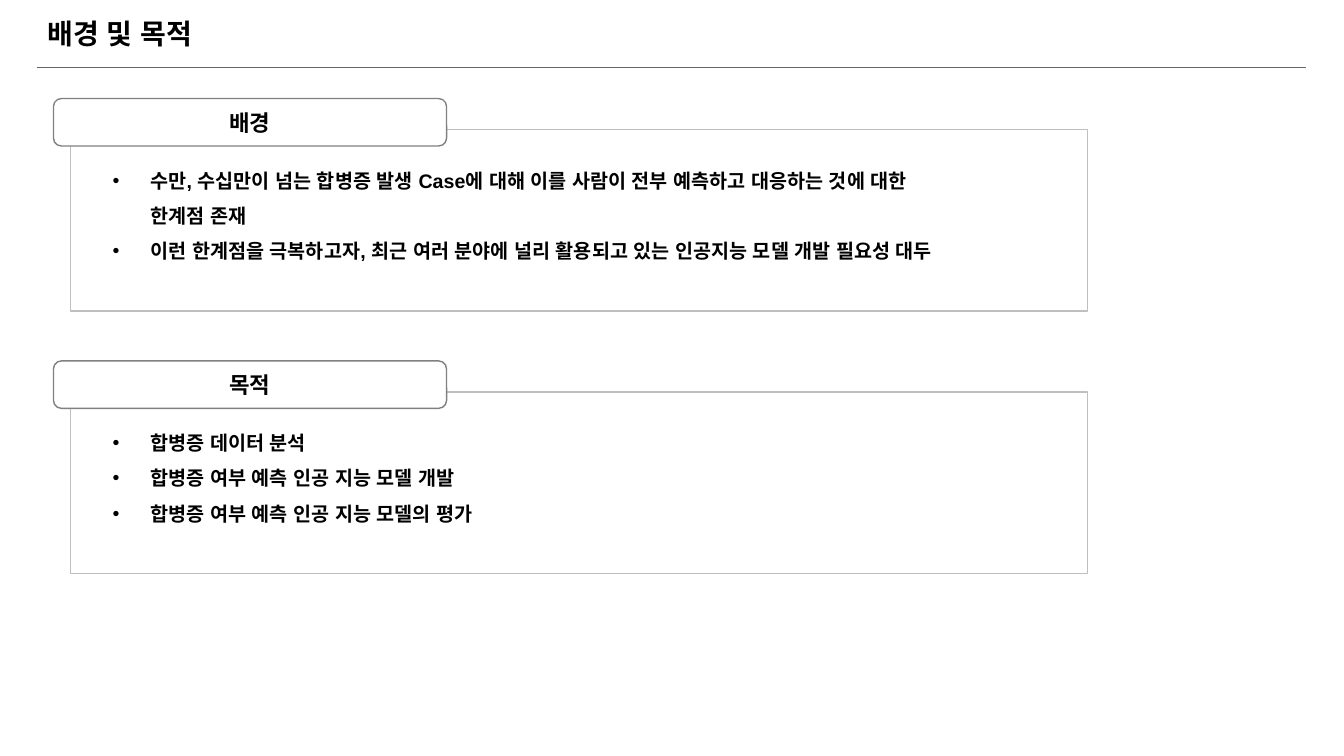
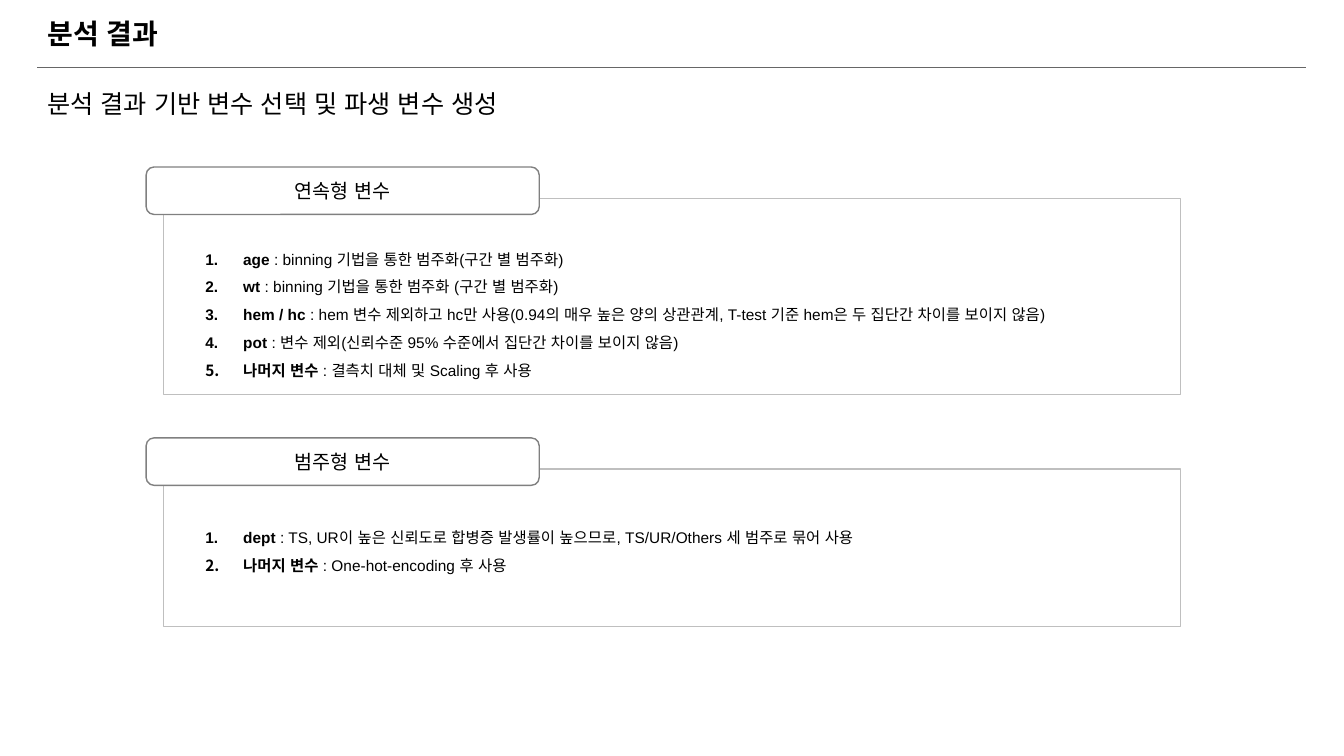
"""Build two slides of titled, framed lists on a clinical prediction model."""
from lxml import etree
from pptx import Presentation
from pptx.dml.color import RGBColor
from pptx.enum.lang import MSO_LANGUAGE_ID
from pptx.enum.shapes import MSO_CONNECTOR, MSO_SHAPE
from pptx.enum.text import MSO_ANCHOR, MSO_AUTO_SIZE, PP_ALIGN
from pptx.oxml.ns import qn
from pptx.util import Pt

RECT = MSO_SHAPE.RECTANGLE
ROUNDED = MSO_SHAPE.ROUNDED_RECTANGLE
STRAIGHT = MSO_CONNECTOR.STRAIGHT
TOP, MIDDLE = MSO_ANCHOR.TOP, MSO_ANCHOR.MIDDLE
LEFT, CENTER = PP_ALIGN.LEFT, PP_ALIGN.CENTER
GROW = MSO_AUTO_SIZE.SHAPE_TO_FIT_TEXT
KOREAN = MSO_LANGUAGE_ID.KOREAN

BLACK = RGBColor(0x00, 0x00, 0x00)
WHITE = RGBColor(0xFF, 0xFF, 0xFF)
RULE_GRAY = RGBColor(0x66, 0x66, 0x66)
TAB_GRAY = RGBColor(0x80, 0x80, 0x80)
FRAME_GRAY = RGBColor(0xBF, 0xBF, 0xBF)

HEAD_FONT, BODY_FONT = "Calibri", "Arial"
MARGIN, CONTENT_W, RULE_Y = 26.64, 906.5, 48.25
TAB_W, TAB_H = 280.8, 33.9
FRAME_DX, FRAME_DY, FRAME_W = 12.24, 22.3, 726.5
LIST_DX, LIST_INDENT = 23, 27

BACKGROUND = [
    [("수만, 수십만이 넘는 합병증 발생 Case에 대해 이를 사람이 전부 예측하고 "
      "대응하는 것에 대한 한계점 존재", True)],
    [("이런 한계점을 극복하고자, 최근 여러 분야에 널리 활용되고 있는 인공지능 "
      "모델 개발 필요성 대두", True)],
]
PURPOSE = [
    [("합병증 데이터 분석", True)],
    [("합병증 여부 예측 인공 지능 모델 개발", True)],
    [("합병증 여부 예측 인공 지능 모델의 평가", True)],
]
CONTINUOUS = [
    [("age", True), (" : binning 기법을 통한 범주화(구간 별 범주화)", False)],
    [("wt", True), (" : binning 기법을 통한 범주화 (구간 별 범주화)", False)],
    [("hem / hc", True),
     (" : hem 변수 제외하고 hc만 사용(0.94의 매우 높은 양의 상관관계, "
      "T-test 기준 hem은 두 집단간 차이를 보이지 않음)", False)],
    [("pot ", True),
     (": 변수 제외(신뢰수준 95% 수준에서 집단간 차이를 보이지 않음)", False)],
    [("나머지 변수 ", True), (": 결측치 대체 및 Scaling 후 사용", False)],
]
CATEGORICAL = [
    [("dept", True),
     (" : TS, UR이 높은 신뢰도로 합병증 발생률이 높으므로, "
      "TS/UR/Others 세 범주로 묶어 사용", False)],
    [("나머지 변수 ", True), (": One-hot-encoding 후 사용", False)],
]


def add_run(p, text, size, font, bold=False):
    """Append one styled run to a paragraph."""
    r = p.add_run()
    r.text = text
    r.font.size = Pt(size)
    r.font.name = font
    r.font.bold = bold
    r.font.color.rgb = BLACK
    r.font.language_id = KOREAN


def add_textbox(s, x, y, w, h, anchor=TOP):
    """Add a wrapping text box and return its text frame."""
    tf = s.shapes.add_textbox(Pt(x), Pt(y), Pt(w), Pt(h)).text_frame
    tf.word_wrap = True
    tf.vertical_anchor = anchor
    return tf


def add_heading(s, text):
    """Add the slide title and the rule beneath it."""
    line = s.shapes.add_connector(STRAIGHT, Pt(MARGIN), Pt(RULE_Y),
                                  Pt(MARGIN + CONTENT_W), Pt(RULE_Y))
    line.line.color.rgb = RULE_GRAY
    line.line.width = Pt(0.75)
    etree.SubElement(line._element.spPr, qn("a:effectLst"))
    p = add_textbox(s, MARGIN, 7.2, CONTENT_W, 36, MIDDLE).paragraphs[0]
    p.line_spacing = 0.9
    add_run(p, text, 20, HEAD_FONT, True)


def add_subtitle(s, text):
    """Add the line of text under the title rule."""
    p = add_textbox(s, MARGIN, 57.6, CONTENT_W, 72.7).paragraphs[0]
    p.line_spacing = 1.1
    p.space_before = Pt(10)
    add_run(p, text, 18, HEAD_FONT)


def add_box(s, kind, x, y, w, h, border):
    """Add an outlined preset shape without fill or shadow."""
    sp = s.shapes.add_shape(kind, Pt(x), Pt(y), Pt(w), Pt(h))
    sp.shadow.inherit = False
    sp.fill.background()
    sp.line.color.rgb = border
    sp.line.width = Pt(1)
    return sp


def set_marker(p, numbered):
    """Give a paragraph a hanging number or bullet."""
    pPr = p._p.get_or_add_pPr()
    pPr.set("marL", str(Pt(LIST_INDENT)))
    pPr.set("indent", str(-Pt(LIST_INDENT)))
    etree.SubElement(pPr, qn("a:buFont"), typeface=BODY_FONT)
    if numbered:
        etree.SubElement(pPr, qn("a:buAutoNum"), type="arabicPeriod")
    else:
        etree.SubElement(pPr, qn("a:buChar"), char="•")


def add_list(s, x, y, w, items, size, numbered):
    """Add a bulleted or numbered list."""
    tf = add_textbox(s, x, y, w, len(items) * size * 1.8 + 7.2)
    tf.auto_size = GROW
    for i, runs in enumerate(items):
        p = tf.paragraphs[0] if i == 0 else tf.add_paragraph()
        p.alignment = LEFT
        p.line_spacing = 1.5
        set_marker(p, numbered)
        for text, bold in runs:
            add_run(p, text, size, BODY_FONT, bold)


def add_card(s, x, y, frame_h, label, items, list_dy,
             list_w=681, label_size=16, size=14, numbered=False):
    """Add a framed list with a label tab over its top-left corner."""
    frame_x, frame_y = x + FRAME_DX, y + FRAME_DY
    add_box(s, RECT, frame_x, frame_y, FRAME_W, frame_h, FRAME_GRAY)
    add_list(s, frame_x + LIST_DX, frame_y + list_dy, list_w, items, size, numbered)
    tab = add_box(s, ROUNDED, x, y, TAB_W, TAB_H, TAB_GRAY)
    tab.fill.solid()
    tab.fill.fore_color.rgb = WHITE
    tab.text_frame.vertical_anchor = MIDDLE
    p = tab.text_frame.paragraphs[0]
    p.alignment = CENTER
    add_run(p, label, label_size, HEAD_FONT, not numbered)


def add_purpose_slide(prs):
    """Add the background and purpose slide."""
    s = prs.slides.add_slide(prs.slide_layouts[6])
    add_heading(s, "배경 및 목적")
    add_card(s, 38.2, 70.4, 129.6, "배경", BACKGROUND, 15.8, list_w=602)
    add_card(s, 38.2, 257.8, 129.6, "목적", PURPOSE, 15.8)


def add_results_slide(prs):
    """Add the analysis results slide."""
    s = prs.slides.add_slide(prs.slide_layouts[6])
    add_heading(s, "분석 결과")
    add_subtitle(s, "분석 결과 기반 변수 선택 및 파생 변수 생성")
    style = {"label_size": 14, "size": 11, "numbered": True}
    add_card(s, 104.4, 119.3, 140.4, "연속형 변수", CONTINUOUS, 26.6, **style)
    add_card(s, 104.4, 312.8, 112.3, "범주형 변수", CATEGORICAL, 32, **style)


def main():
    """Build and save the presentation."""
    prs = Presentation()
    prs.slide_width, prs.slide_height = Pt(960), Pt(540)
    add_purpose_slide(prs)
    add_results_slide(prs)
    prs.save("out.pptx")


if __name__ == "__main__":
    main()
